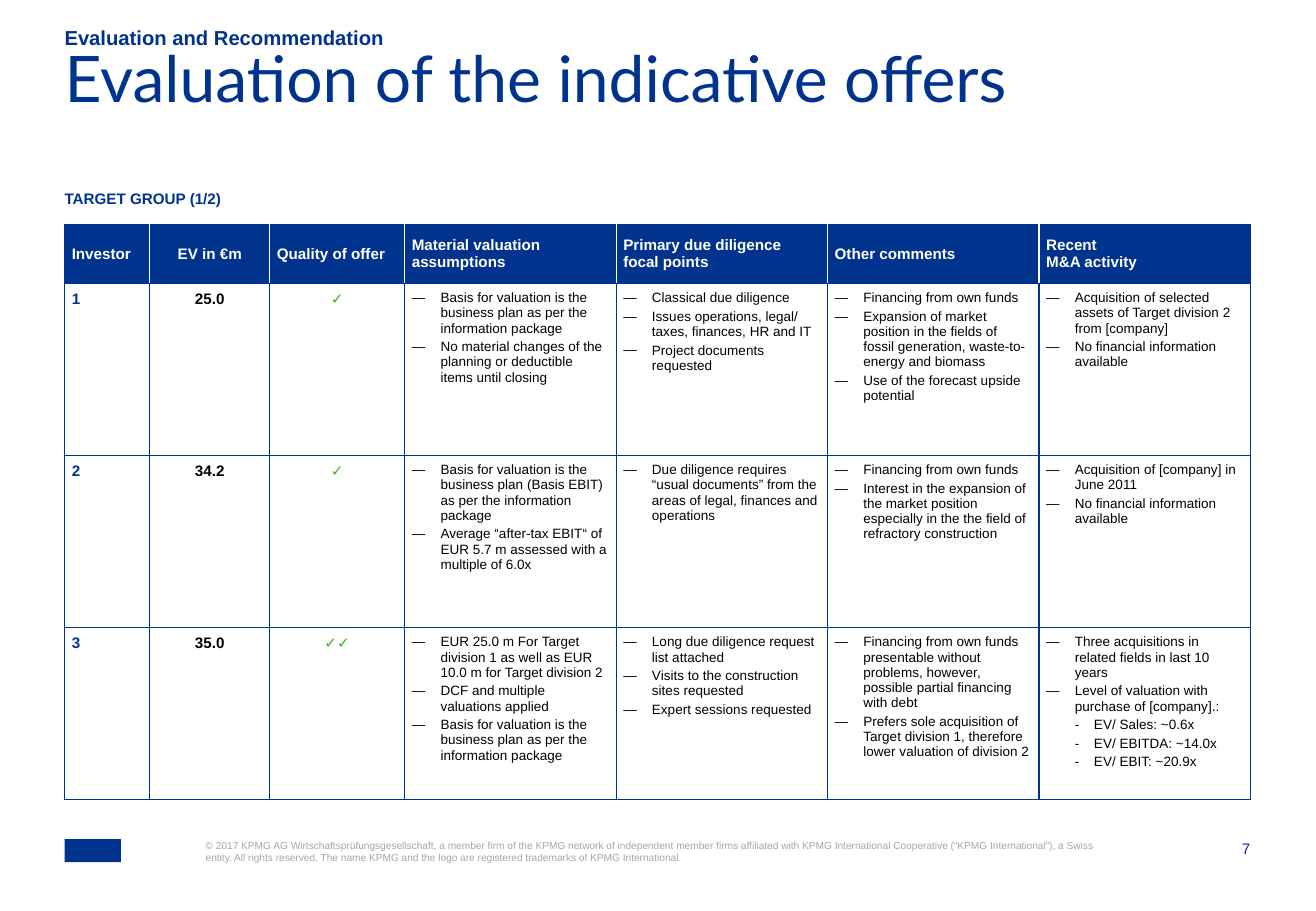
from lxml import etree
from pptx import Presentation
from pptx.dml.color import RGBColor
from pptx.enum.shapes import MSO_SHAPE
from pptx.enum.text import MSO_ANCHOR, MSO_AUTO_SIZE, PP_ALIGN
from pptx.oxml.ns import qn
from pptx.util import Cm, Pt

LEFT, CENTER, RIGHT = PP_ALIGN.LEFT, PP_ALIGN.CENTER, PP_ALIGN.RIGHT
TOP, MIDDLE, BOTTOM = MSO_ANCHOR.TOP, MSO_ANCHOR.MIDDLE, MSO_ANCHOR.BOTTOM
NO_AUTOFIT = MSO_AUTO_SIZE.NONE
RECTANGLE = MSO_SHAPE.RECTANGLE

COLORS = {
    "blue": "00338D",
    "green": "43B02A",
    "grey": "A6A6A6",
    "black": "000000",
    "white": "FFFFFF",
}

SECTION = "Evaluation and Recommendation"
TITLE = "Evaluation of the indicative offers"
SUBTITLE = "TARGET GROUP (1/2)"
COPYRIGHT = (
    "© 2017 KPMG AG Wirtschaftsprüfungsgesellschaft, a member firm of the KPMG network "
    "of independent member firms affiliated with KPMG International Cooperative "
    "(“KPMG International”), a Swiss entity. All rights reserved. The name KPMG and the "
    "logo are registered trademarks of KPMG International."
)
PAGE_NUMBER = "7"

HEADERS = [
    ["Investor"],
    ["EV in €m"],
    ["Quality of offer"],
    ["Material valuation assumptions"],
    ["Primary due diligence focal points"],
    ["Other comments"],
    ["Recent", "M&A activity"],
]
# Investor, EV and quality, then one list per comment column; a tuple holds sub-points.
OFFERS = [
    ("1", "25.0", "✓",
     ["Basis for valuation is the business plan as per the information package",
      "No material changes of the planning or deductible items until closing"],
     ["Classical due diligence",
      "Issues operations, legal/ taxes, finances, HR and IT",
      "Project documents requested"],
     ["Financing from own funds",
      "Expansion of market position in the fields of fossil generation, "
      "waste-to-energy and biomass",
      "Use of the forecast upside potential"],
     ["Acquisition of selected assets of Target division 2 from [company]",
      "No financial information available"]),
    ("2", "34.2", "✓",
     ["Basis for valuation is the business plan (Basis EBIT) as per the information package",
      "Average “after-tax EBIT“ of EUR 5.7 m assessed with a multiple of 6.0x"],
     ["Due diligence requires “usual documents” from the areas of legal, finances "
      "and operations"],
     ["Financing from own funds",
      "Interest in the expansion of the market position especially in the the field of "
      "refractory construction"],
     ["Acquisition of [company] in June 2011",
      "No financial information available"]),
    ("3", "35.0", "✓✓",
     ["EUR 25.0 m For Target division 1 as well as EUR 10.0 m for Target division 2",
      "DCF and multiple valuations applied",
      "Basis for valuation is the business plan as per the information package"],
     ["Long due diligence request list attached",
      "Visits to the construction sites requested",
      "Expert sessions requested"],
     ["Financing from own funds presentable without problems, however, possible partial "
      "financing with debt",
      "Prefers sole acquisition of Target division 1, therefore lower valuation "
      "of division 2"],
     ["Three acquisitions in related fields in last 10 years",
      "Level of valuation with purchase of [company].:",
      ("EV/ Sales: ~0.6x", "EV/ EBITDA: ~14.0x", "EV/ EBIT: ~20.9x")]),
]

MARGIN = 1.35
COLUMN_WIDTHS = [1.78, 2.51, 2.82] + [4.42] * 4
CONTENT_WIDTH = sum(COLUMN_WIDTHS)
HEADER_HEIGHT, OFFER_HEIGHT = 1.22, 3.6
TABLE_TOP = 4.7
FOOTER_TOP = 17.55
CELL_MARGIN = 0.15
# Bullet character, left margin and hanging indent of each level
BULLETS = [("—", 0.6, 0.6), ("-", 1.0, 0.4)]


def rgb(name):
    return RGBColor.from_string(COLORS[name])


def add_bullet(paragraph, level):
    char, margin, hanging = BULLETS[level]
    paragraph.level = level + 1
    properties = paragraph._p.get_or_add_pPr()
    properties.set("marL", str(Cm(margin)))
    properties.set("indent", str(-Cm(hanging)))
    color = etree.SubElement(properties, qn("a:buClr"))
    etree.SubElement(color, qn("a:srgbClr"), val=COLORS["black"])
    etree.SubElement(properties, qn("a:buFont"), typeface="Arial")
    etree.SubElement(properties, qn("a:buChar"), char=char)


def write(frame, lines, size=9, color="blue", bold=False, font="Arial", align=LEFT,
          after=0, spacing=None, bulleted=False):
    """Fill a text frame with one paragraph per line; a tuple holds second-level lines."""
    levelled = []
    for line in lines:
        if isinstance(line, tuple):
            levelled += [(sub_line, 1) for sub_line in line]
        else:
            levelled.append((line, 0))
    for index, (line, level) in enumerate(levelled):
        paragraph = frame.add_paragraph() if index else frame.paragraphs[0]
        if bulleted:
            add_bullet(paragraph, level)
        paragraph.alignment = align
        paragraph.space_after = Pt(after)
        if spacing:
            paragraph.line_spacing = spacing
        run = paragraph.add_run()
        run.text = line
        run.font.name = font
        run.font.size = Pt(size)
        run.font.bold = bold
        run.font.color.rgb = rgb(color)


def place_text(shape, box, lines, anchor=TOP, **text_format):
    shape.left, shape.top, shape.width, shape.height = map(Cm, box)
    frame = shape.text_frame
    frame.word_wrap = True
    frame.auto_size = NO_AUTOFIT
    frame.vertical_anchor = anchor
    frame.margin_left = frame.margin_right = frame.margin_top = frame.margin_bottom = 0
    write(frame, lines, **text_format)


def style_cell(cell, fill, anchor, borders):
    """Set margins, fill and borders; borders maps L, R, T, B to colour names."""
    cell.margin_left = cell.margin_right = Cm(CELL_MARGIN)
    cell.margin_top = cell.margin_bottom = Cm(CELL_MARGIN)
    cell.vertical_anchor = anchor
    properties = cell._tc.get_or_add_tcPr()
    for side, color in borders.items():
        line = etree.SubElement(properties, qn(f"a:ln{side}"), w=str(Pt(0.75)))
        solid = etree.SubElement(line, qn("a:solidFill"))
        etree.SubElement(solid, qn("a:srgbClr"), val=COLORS[color])
    cell.fill.solid()
    cell.fill.fore_color.rgb = rgb(fill)


def add_offer_table(slide):
    height = HEADER_HEIGHT + OFFER_HEIGHT * len(OFFERS)
    table = slide.shapes.add_table(
        len(OFFERS) + 1, len(HEADERS), Cm(MARGIN), Cm(TABLE_TOP),
        Cm(CONTENT_WIDTH), Cm(height)).table
    table.horz_banding = False
    for column, width in zip(table.columns, COLUMN_WIDTHS):
        column.width = Cm(width)
    for index, row in enumerate(table.rows):
        row.height = Cm(OFFER_HEIGHT if index else HEADER_HEIGHT)

    last = len(HEADERS) - 1
    for col, header in enumerate(HEADERS):
        cell = table.cell(0, col)
        borders = {"L": "white" if col else "blue", "R": "white" if col < last else "blue",
                   "T": "blue", "B": "blue"}
        style_cell(cell, "blue", MIDDLE, borders)
        write(cell.text_frame, header, color="white", bold=True,
              align=CENTER if col == 1 else LEFT)

    key_formats = [
        dict(color="blue", bold=True),
        dict(color="black", bold=True, align=CENTER),
        dict(color="green", bold=True, align=CENTER),
    ]
    comment_format = dict(color="black", size=8, bulleted=True)
    for row, offer in enumerate(OFFERS, start=1):
        for col, content in enumerate(offer):
            cell = table.cell(row, col)
            style_cell(cell, "white", TOP, dict.fromkeys("LRTB", "blue"))
            is_key = col < len(key_formats)
            write(cell.text_frame, [content] if is_key else content, after=2,
                  **(key_formats[col] if is_key else comment_format))


def main():
    deck = Presentation()
    deck.slide_width, deck.slide_height = Cm(27.51), Cm(19.05)
    slide = deck.slides.add_slide(deck.slide_layouts[5])

    place_text(slide.shapes.title, (MARGIN, 1.24, CONTENT_WIDTH, 2), [TITLE],
               size=38, font="Lato", spacing=0.7)
    labels = [
        ((MARGIN, 0.56, 23.88, 0.48), SECTION, dict(size=12, bold=True, anchor=BOTTOM)),
        ((MARGIN, 3.96, CONTENT_WIDTH, 0.74), SUBTITLE, dict(bold=True)),
        ((4.3, FOOTER_TOP, 19.02, 1.04), COPYRIGHT, dict(size=6, color="grey")),
        ((25.06, FOOTER_TOP, 1.08, 0.41), PAGE_NUMBER, dict(align=RIGHT)),
    ]
    for box, label, text_format in labels:
        place_text(slide.shapes.add_textbox(0, 0, 0, 0), box, [label], **text_format)

    add_offer_table(slide)

    logo_block = slide.shapes.add_shape(
        RECTANGLE, Cm(MARGIN), Cm(FOOTER_TOP), Cm(1.18), Cm(0.48))
    logo_block.shadow.inherit = False
    logo_block.fill.solid()
    logo_block.fill.fore_color.rgb = rgb("blue")
    logo_block.line.fill.background()

    deck.save("out.pptx")


if __name__ == "__main__":
    main()
